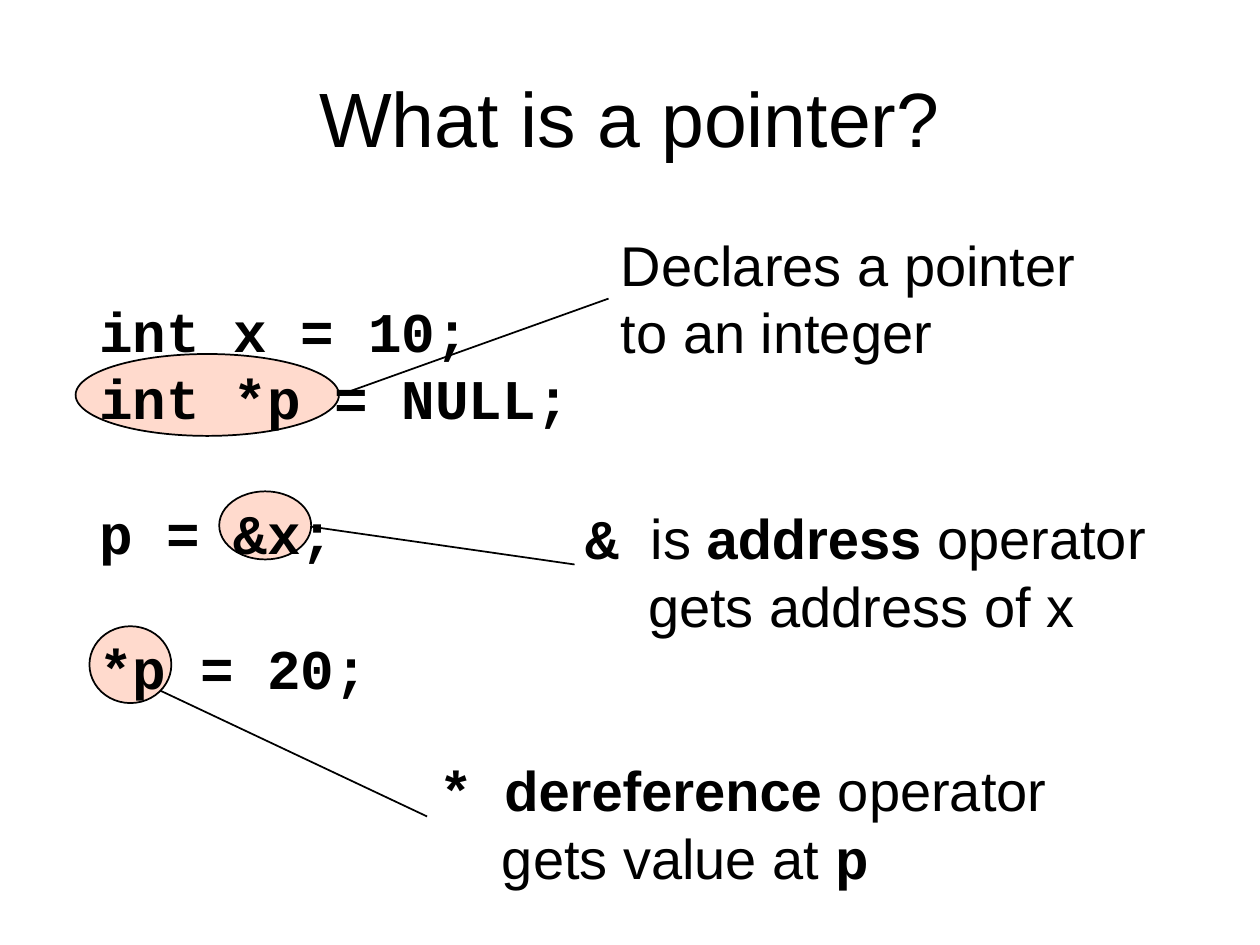
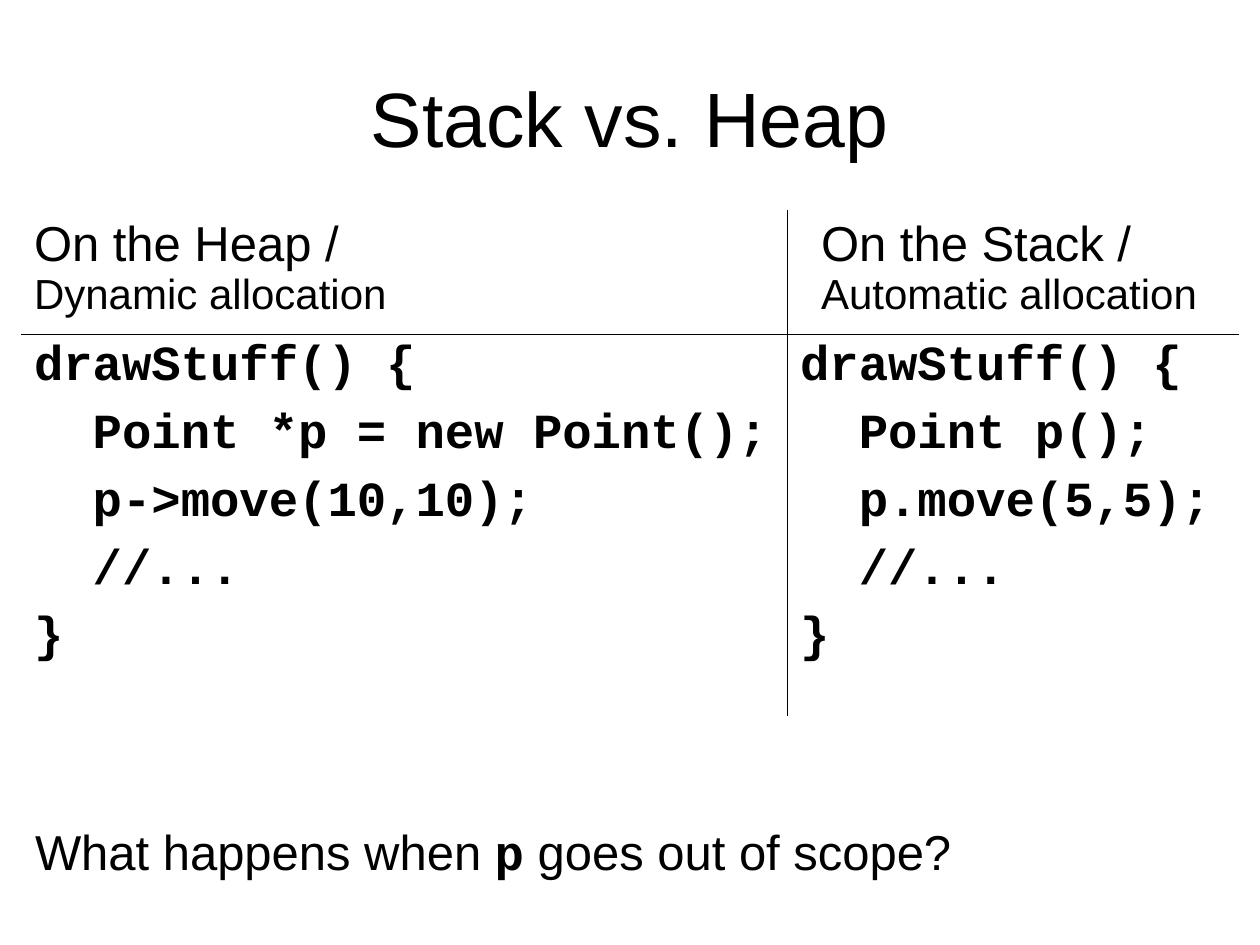
from lxml.etree import SubElement
from pptx import Presentation
from pptx.dml.color import RGBColor
from pptx.enum.shapes import MSO_CONNECTOR, MSO_SHAPE
from pptx.enum.text import MSO_ANCHOR, PP_ALIGN
from pptx.oxml.ns import qn
from pptx.util import Inches, Pt

COLORS = {"ink": "000000", "peach": "FFDACD", "page": "FFFFFF"}
SANS, MONO = "Arial", "Courier New"
COLS, ROWS = 100, 75
PAGE = (0, 0, COLS, ROWS)
PITCH = 38.5
EDGES = ("L", "R", "T", "B")


def grid(cells):
    return Inches(cells / 10)


def color(name):
    return RGBColor.from_string(COLORS[name])


def shift(box, x, y):
    return grid(box[0] + x), grid(box[1] + y)


def add_run(para, text, size, font=SANS, bold=False):
    run = para.add_run()
    run.text = text
    run.font.size = Pt(size)
    run.font.name = font
    run.font.bold = bold
    run.font.color.rgb = color("ink")


def add_para(frame, first):
    return frame.paragraphs[0] if first else frame.add_paragraph()


def indent(para, left):
    props = para._p.get_or_add_pPr()
    props.set("marL", str(grid(left)))
    props.set("indent", "0")


def set_tab(para, left):
    props = para._p.get_or_add_pPr()
    tabs = SubElement(props, qn("a:tabLst"))
    SubElement(tabs, qn("a:tab"), pos=str(grid(left)), algn="l")


def add_box(slide, box, x, y, wide, high, top=1):
    shape = slide.shapes.add_textbox(*shift(box, x, y), grid(wide), grid(high))
    frame = shape.text_frame
    frame.word_wrap = True
    frame.margin_top = grid(top)
    return frame


def add_title(slide, text):
    frame = add_box(slide, PAGE, 5, 3, 90, 12.5, 0.5)
    frame.vertical_anchor = MSO_ANCHOR.MIDDLE
    para = frame.paragraphs[0]
    para.alignment = PP_ALIGN.CENTER
    add_run(para, text, 44)


def add_oval(slide, box, x, y, wide, high):
    oval = slide.shapes.add_shape(
        MSO_SHAPE.OVAL, *shift(box, x, y), grid(wide), grid(high))
    oval.shadow.inherit = False
    oval.fill.solid()
    oval.fill.fore_color.rgb = color("peach")
    oval.line.color.rgb = color("ink")
    oval.line.width = Pt(1)


def add_line(slide, box, start, end):
    line = slide.shapes.add_connector(
        MSO_CONNECTOR.STRAIGHT, *shift(box, *start), *shift(box, *end))
    line.line.color.rgb = color("ink")
    line.line.width = Pt(1)
    SubElement(line._element.spPr, qn("a:effectLst"))


def add_code(slide, box):
    frame = add_box(slide, box, 0, 0, 40, 49)
    lines = [("int x = 10;", 0), ("int *p = NULL;", 0),
             ("p = &x;", 1), ("*p = 20;", 1)]
    for row, (text, gap) in enumerate(lines):
        para = add_para(frame, row == 0)
        para.line_spacing = Pt(PITCH)
        if gap:
            para.space_before = Pt(gap * PITCH)
        add_run(para, text, 32, MONO, True)


def add_plain(slide, box, lines):
    frame = add_box(slide, box, 0, 0, 40, 11.7, 0.5)
    for row, text in enumerate(lines):
        para = add_para(frame, row == 0)
        para.line_spacing = Pt(PITCH)
        add_run(para, text, 32)


def add_note(slide, box, sign, head, tail):
    frame = add_box(slide, box, 0, 0, 50.2, 11.7)
    para = add_para(frame, True)
    set_tab(para, 5.15)
    add_run(para, sign, 32, MONO, True)
    add_run(para, "\t", 32)
    for run in head:
        add_run(para, run[0], 32, *run[1:])
    para = add_para(frame, False)
    indent(para, 4.95)
    for run in tail:
        add_run(para, run[0], 32, *run[1:])


def draw_pointer(slide, box):
    for oval in ((6, 28.1, 20.9, 6.5), (17.4, 39, 7.3, 5.4),
                 (7.1, 49.7, 6.5, 6.1)):
        add_oval(slide, box, *oval)
    add_title(slide, "What is a pointer?")
    add_code(slide, (6.9, 22.5))
    add_plain(slide, (48.3, 17.8), ["Declares a pointer", "to an integer"])
    add_note(slide, (45.5, 39), "&",
             [("is ",), ("address", SANS, True), (" operator",)],
             [("gets address of x",)])
    add_note(slide, (33.9, 59), "*",
             [("dereference", SANS, True), (" operator",)],
             [("gets value at ",), ("p", MONO, True)])
    for start, end in (((48.3, 23.7), (26.8, 31.4)),
                       ((45.6, 44.8), (24.7, 41.8)),
                       ((12.7, 54.8), (33.9, 64.8))):
        add_line(slide, box, start, end)


def set_edges(cell, shown):
    props = cell._tc.get_or_add_tcPr()
    for edge in EDGES:
        line = SubElement(props, qn("a:ln" + edge), w=str(Pt(0.45)))
        if edge in shown:
            fill = SubElement(line, qn("a:solidFill"))
            SubElement(fill, qn("a:srgbClr"), val=COLORS["ink"])
        else:
            SubElement(line, qn("a:noFill"))
    cell.fill.background()


def fill_head(cell, lines, left):
    for row, (text, size) in enumerate(zip(lines, (28, 24))):
        para = add_para(cell.text_frame, row == 0)
        indent(para, left)
        add_run(para, text, size)


def fill_code(cell, body):
    lines = ["drawStuff() {", *("  " + text for text in body), "}"]
    for row, text in enumerate(lines):
        para = add_para(cell.text_frame, row == 0)
        if row:
            para.space_before = Pt(7)
        add_run(para, text, 28, MONO, True)


def add_sides(slide, box):
    wide, high = (60.8, 35.8), (9.8, 30.3)
    table = slide.shapes.add_table(
        2, 2, *shift(box, 0, 0), grid(sum(wide)), grid(sum(high))).table
    table.first_row = table.horz_banding = False
    for row, size in enumerate(high):
        table.rows[row].height = grid(size)
    sides = [(["On the Heap /", "Dynamic allocation"], 0,
              ["Point *p = new Point();", "p->move(10,10);", "//..."]),
             (["On the Stack /", "Automatic allocation"], 1.67,
              ["Point p();", "p.move(5,5);", "//..."])]
    for col, (head, left, body) in enumerate(sides):
        table.columns[col].width = grid(wide[col])
        top, base = table.cell(0, col), table.cell(1, col)
        fill_head(top, head, left)
        fill_code(base, body)
        set_edges(top, "RL"[col] + "B")
        set_edges(base, "RL"[col] + "T")


def draw_heap(slide, box):
    add_title(slide, "Stack vs. Heap")
    add_sides(slide, (box[0] + 1.7, box[1] + 16.7))
    frame = add_box(slide, box, 1.8, 64.2, 76, 5.7)
    para = frame.paragraphs[0]
    add_run(para, "What happens when ", 28)
    add_run(para, "p", 28, MONO, True)
    add_run(para, " goes out of scope?", 28)


def main():
    deck = Presentation()
    deck.slide_width, deck.slide_height = grid(COLS), grid(ROWS)
    for draw in (draw_pointer, draw_heap):
        slide = deck.slides.add_slide(deck.slide_layouts[6])
        slide.background.fill.solid()
        slide.background.fill.fore_color.rgb = color("page")
        draw(slide, PAGE)
    deck.save("out.pptx")


if __name__ == "__main__":
    main()
